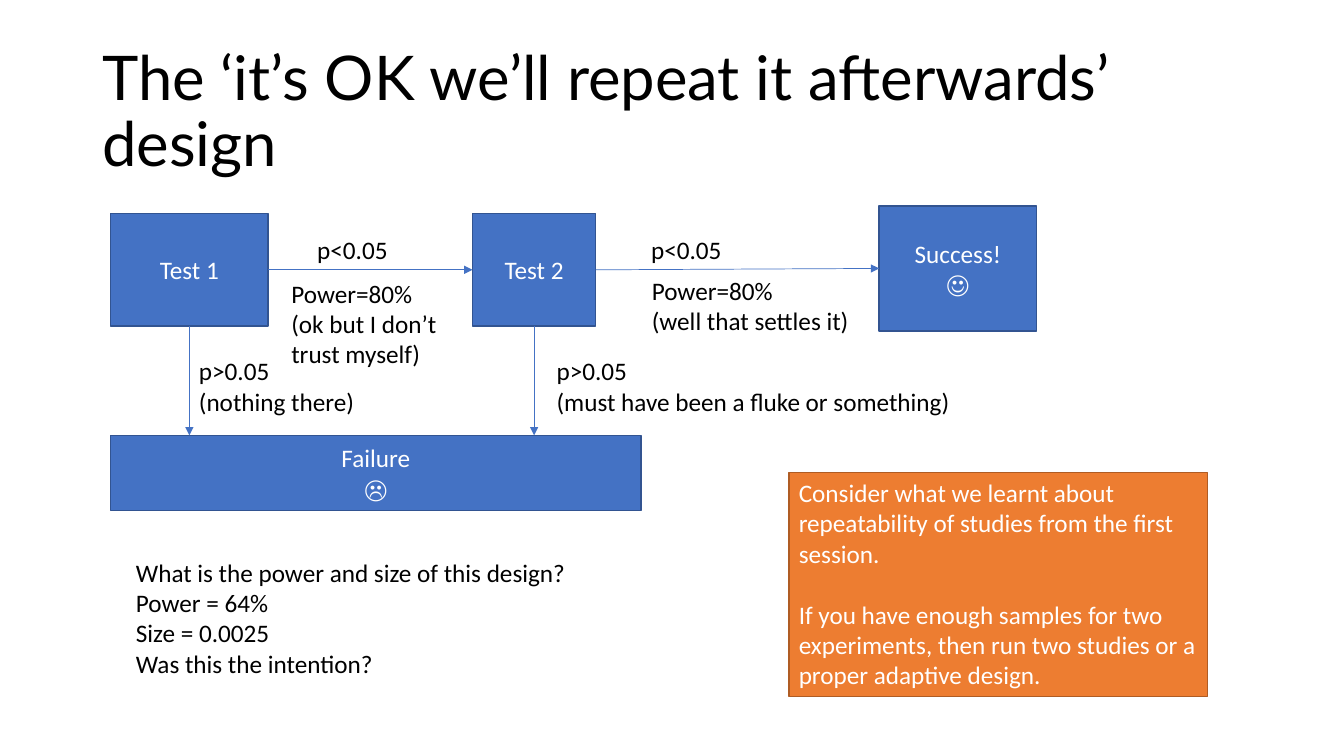
from dataclasses import dataclass

from lxml.etree import SubElement
from pptx import Presentation
from pptx.dml.color import RGBColor
from pptx.enum.shapes import MSO_CONNECTOR, MSO_SHAPE
from pptx.enum.text import MSO_ANCHOR, PP_ALIGN
from pptx.oxml.ns import qn
from pptx.slide import Slide
from pptx.text.text import TextFrame
from pptx.util import Pt


@dataclass(frozen=True)
class Theme:
    title_font: str = "Lato"
    body_font: str = "Calibri"
    title_size: float = 44
    body_size: float = 18
    black: RGBColor = RGBColor(0x00, 0x00, 0x00)
    white: RGBColor = RGBColor(0xFF, 0xFF, 0xFF)
    blue: RGBColor = RGBColor(0x44, 0x72, 0xC4)
    blue_edge: RGBColor = RGBColor(0x32, 0x54, 0x91)
    orange: RGBColor = RGBColor(0xED, 0x7D, 0x31)
    orange_edge: RGBColor = RGBColor(0xAF, 0x5C, 0x24)


@dataclass(frozen=True)
class Area:
    left: float
    top: float
    width: float
    height: float

    @property
    def center_x(self) -> float:
        return self.left + self.width / 2

    @property
    def center_y(self) -> float:
        return self.top + self.height / 2

    @property
    def right(self) -> float:
        return self.left + self.width

    @property
    def bottom(self) -> float:
        return self.top + self.height

    def lengths(self) -> tuple[Pt, Pt, Pt, Pt]:
        return Pt(self.left), Pt(self.top), Pt(self.width), Pt(self.height)


@dataclass(frozen=True)
class Panel:
    area: Area
    lines: tuple[str, ...]
    fill: RGBColor
    edge: RGBColor
    align: PP_ALIGN = PP_ALIGN.CENTER
    anchor: MSO_ANCHOR = MSO_ANCHOR.MIDDLE
    gap: float = 0


@dataclass(frozen=True)
class Label:
    area: Area
    lines: tuple[str, ...]
    wrap: bool = False


@dataclass(frozen=True)
class Arrow:
    start: tuple[float, float]
    end: tuple[float, float]


THEME = Theme()

TITLE = "The ‘it’s OK we’ll repeat it afterwards’ design"
TEST_1 = Area(79, 152.5, 112.5, 80.5)
TEST_2 = Area(337.5, 152.5, 88, 80.5)
SUCCESS = Area(628, 147, 112.5, 89.5)
FAILURE = Area(79, 311, 379, 53.5)
ADVICE = Area(563.5, 337.5, 299, 160)

PANELS = (
    Panel(TEST_1, ("Test 1",), THEME.blue, THEME.blue_edge),
    Panel(TEST_2, ("Test 2",), THEME.blue, THEME.blue_edge),
    Panel(SUCCESS, ("Success!", "☺"), THEME.blue, THEME.blue_edge),
    Panel(FAILURE, ("Failure", "☹"), THEME.blue, THEME.blue_edge),
    Panel(
        ADVICE,
        (
            "Consider what we learnt about repeatability of studies from the first session.",
            "If you have enough samples for two experiments, then run two studies "
            "or a proper adaptive design.",
        ),
        THEME.orange,
        THEME.orange_edge,
        PP_ALIGN.LEFT,
        MSO_ANCHOR.TOP,
        gap=22,
    ),
)

ARROWS = (
    Arrow((TEST_1.right, TEST_1.center_y), (TEST_2.left, TEST_2.center_y)),
    Arrow((TEST_2.right, TEST_2.center_y), (SUCCESS.left, SUCCESS.center_y)),
    Arrow((TEST_1.center_x, TEST_1.bottom), (TEST_1.center_x, FAILURE.top)),
    Arrow((TEST_2.center_x, TEST_2.bottom), (TEST_2.center_x, FAILURE.top)),
)

LABELS = (
    Label(Area(219.5, 163.5, 65.5, 29), ("p<0.05",)),
    Label(Area(458, 163.5, 65.5, 29), ("p<0.05",)),
    Label(Area(135, 250.5, 127, 51), ("p>0.05", "(nothing there)")),
    Label(Area(390.5, 250.5, 299, 51), ("p>0.05", "(must have been a fluke or something)")),
    Label(Area(201, 195, 126, 73), ("Power=80%", "(ok but I don’t trust myself)"), wrap=True),
    Label(Area(458.5, 193, 157, 51), ("Power=80%", "(well that settles it)")),
    Label(
        Area(90, 394.5, 325.5, 94.5),
        (
            "What is the power and size of this design?",
            "Power = 64%",
            "Size = 0.0025",
            "Was this the intention?",
        ),
    ),
)


def write_lines(
    frame: TextFrame,
    lines: tuple[str, ...],
    color: RGBColor,
    font: str = THEME.body_font,
    size: float = THEME.body_size,
    align: PP_ALIGN = PP_ALIGN.LEFT,
    gap: float = 0,
) -> None:
    """Write one paragraph per line, with the gap before all but the first."""
    for index, line in enumerate(lines):
        para = frame.add_paragraph() if index else frame.paragraphs[0]
        para.alignment = align
        if index and gap:
            para.space_before = Pt(gap)
        span = para.add_run()
        span.text = line
        span.font.name = font
        span.font.size = Pt(size)
        span.font.color.rgb = color


def draw_title(page: Slide) -> None:
    frame = page.shapes.add_textbox(*Area(66, 29, 828, 104.5).lengths()).text_frame
    frame.word_wrap = True
    frame.vertical_anchor = MSO_ANCHOR.MIDDLE
    write_lines(frame, (TITLE,), THEME.black, THEME.title_font, THEME.title_size)
    frame.paragraphs[0].line_spacing = 0.9


def draw_panel(page: Slide, panel: Panel) -> None:
    box = page.shapes.add_shape(MSO_SHAPE.RECTANGLE, *panel.area.lengths())
    box.shadow.inherit = False
    box.fill.solid()
    box.fill.fore_color.rgb = panel.fill
    box.line.color.rgb = panel.edge
    box.line.width = Pt(1)
    box.text_frame.word_wrap = True
    box.text_frame.vertical_anchor = panel.anchor
    write_lines(box.text_frame, panel.lines, THEME.white, align=panel.align, gap=panel.gap)


def draw_arrow(page: Slide, arrow: Arrow) -> None:
    ends = (Pt(length) for length in (*arrow.start, *arrow.end))
    connector = page.shapes.add_connector(MSO_CONNECTOR.STRAIGHT, *ends)
    connector.line.color.rgb = THEME.blue
    connector.line.width = Pt(0.5)
    SubElement(connector.line._get_or_add_ln(), qn("a:tailEnd"), type="triangle")
    SubElement(connector._element.spPr, qn("a:effectLst"))


def draw_label(page: Slide, label: Label) -> None:
    frame = page.shapes.add_textbox(*label.area.lengths()).text_frame
    frame.word_wrap = label.wrap
    write_lines(frame, label.lines, THEME.black)


def main() -> None:
    deck = Presentation()
    deck.slide_width, deck.slide_height = Pt(960), Pt(540)
    page = deck.slides.add_slide(deck.slide_layouts[6])
    draw_title(page)
    for panel in PANELS:
        draw_panel(page, panel)
    for arrow in ARROWS:
        draw_arrow(page, arrow)
    for label in LABELS:
        draw_label(page, label)
    deck.save("out.pptx")


if __name__ == "__main__":
    main()
